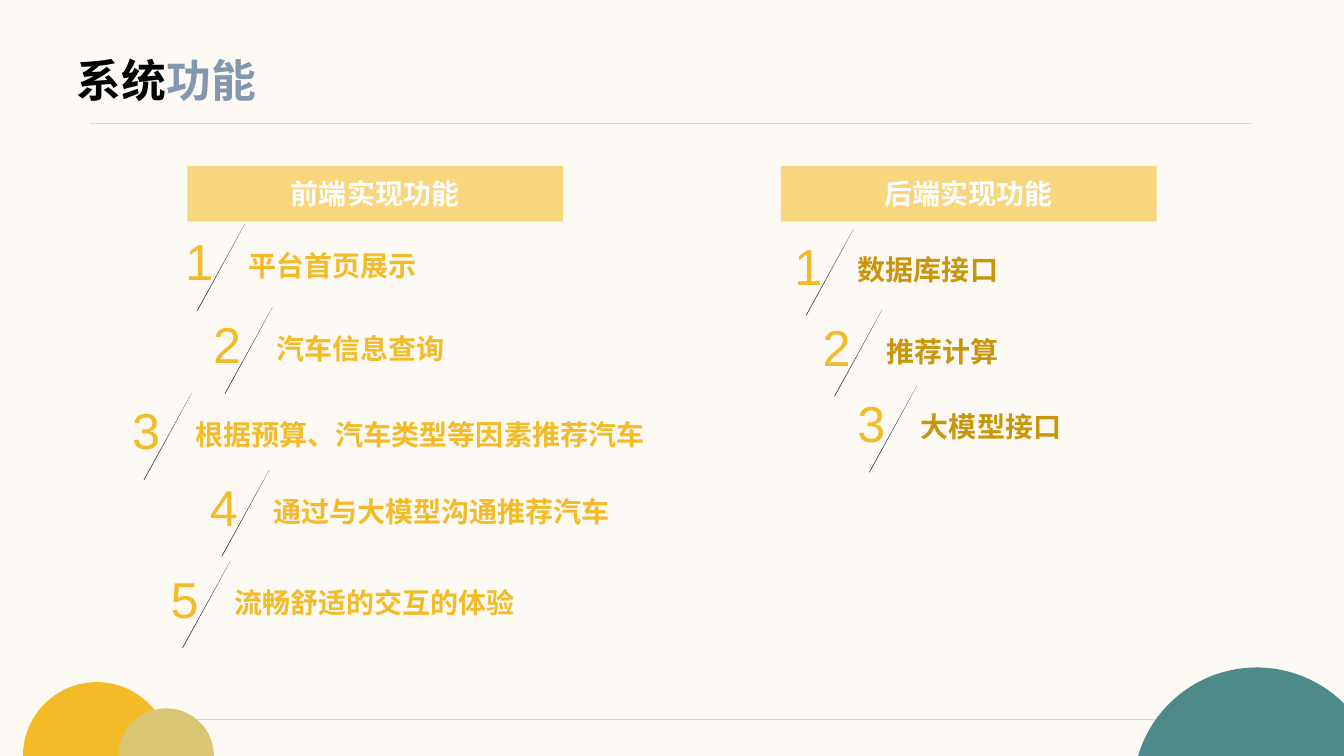
import math
from pptx import Presentation
from pptx.dml.color import RGBColor
from pptx.enum import shapes, text
from pptx.oxml.ns import qn
from pptx.util import Cm, Pt
from lxml import etree

WIDE, HIGH = 33.87, 19.05
CREAM, GOLD, SAND, OCHRE = "FDFAF5", "F3BB28", "F8D67E", "C9950B"
GRAY, SLATE = "D9D9D9", "333F50"
LATIN, HAN = "Arial", "Noto Sans CJK SC"

TITLE = [("系统", "000000"), ("功能", "8497B0")]
RULES = [(2.26, 31.55, 3.12), (4.29, 29.34, 18.13)]
DISCS = [
    (2.44, 19.05, 1.86, GOLD),
    (4.19, 19.05, 1.2, "D9C573"),
    (31.67, 19.94, 3.12, "4F8A8B"),
]
PARTS = [
    ("前端实现功能", 4.72, GOLD, [
        ("平台首页展示", 4.42, 5.68),
        ("汽车信息查询", 5.12, 7.77),
        ("根据预算、汽车类型等因素推荐汽车", 3.08, 9.94),
        ("通过与大模型沟通推荐汽车", 5.04, 11.87),
        ("流畅舒适的交互的体验", 4.05, 14.18),
    ]),
    ("后端实现功能", 19.68, OCHRE, [
        ("数据库接口", 19.77, 5.79),
        ("推荐计算", 20.48, 7.84),
        ("大模型接口", 21.36, 9.75),
    ]),
]


def tint(code):
    return RGBColor.from_string(code)


def add_run(para, words, size, color, bold=True, face=LATIN):
    run = para.add_run()
    run.text = words
    font = run.font
    font.size, font.bold, font.name = Pt(size), bold, face
    font.color.rgb = tint(color)
    latin = font._element.find(qn("a:latin"))
    east = etree.Element(qn("a:ea"), typeface=HAN)
    latin.addnext(east)


def paint(shape, color):
    shape.shadow.inherit = False
    shape.fill.solid()
    shape.fill.fore_color.rgb = tint(color)
    shape.line.fill.background()


def add_rect(pool, x, y, w, h, color):
    rect = pool.add_shape(shapes.MSO_SHAPE.RECTANGLE, Cm(x), Cm(y), Cm(w), Cm(h))
    paint(rect, color)
    return rect


def add_line(pool, x1, y1, x2, y2, color):
    line = pool.add_connector(
        shapes.MSO_CONNECTOR.STRAIGHT, Cm(x1), Cm(y1), Cm(x2), Cm(y2))
    line.line.color.rgb = tint(color)
    line.line.width = Pt(0.5)
    etree.SubElement(line._element.spPr, qn("a:effectLst"))


def bend(edge, left, top, dots):
    curve = etree.Element(qn("a:cubicBezTo"))
    for x, y in dots:
        etree.SubElement(curve, qn("a:pt"), x=str(Cm(x) - left), y=str(Cm(y) - top))
    edge.getparent().replace(edge, curve)


def add_disc(pool, x, y, r, color):
    def spot(turn, push=0):
        return (x + r * (math.cos(turn) - push * math.sin(turn)),
                y - r * (math.sin(turn) + push * math.cos(turn)))

    low = math.asin((y - HIGH) / r)
    end = max(low, math.acos(min(1, (WIDE - x) / r)))
    turns = [math.pi - low, math.pi / 2, end]
    dots = [spot(turn) for turn in turns]
    if end > low:
        dots.append((WIDE, HIGH))
    dots = [(Cm(px), Cm(py)) for px, py in dots]
    form = pool.build_freeform(*dots[0], scale=1.0)
    form.add_line_segments(dots[1:], close=True)
    shape = form.convert_to_shape()
    paint(shape, color)
    edges = list(shape._element.iter(qn("a:lnTo")))
    for edge, a, b in zip(edges, turns, turns[1:]):
        pull = 4 / 3 * math.tan((b - a) / 4)
        bend(edge, shape.left, shape.top, [spot(a, pull), spot(b, -pull), spot(b)])


def add_text(pool, x, y, w, h, words, size, color, bold, space=None):
    box = pool.add_textbox(Cm(x), Cm(y), Cm(w), Cm(h))
    frame = box.text_frame
    frame.word_wrap = True
    frame.auto_size = text.MSO_AUTO_SIZE.SHAPE_TO_FIT_TEXT
    para = frame.paragraphs[0]
    if space:
        para.line_spacing = space
    add_run(para, words, size, color, bold)


def add_item(pool, rank, words, x, y, color):
    group = pool.add_group_shape().shapes
    add_text(group, x, y, 2.34, 1.8, str(rank), 36, GOLD, False)
    add_line(group, x + 0.55, y + 2.15, x + 1.75, y - 0.02, SLATE)
    mask = add_rect(group, x + 0.99, y - 0.03, 0.74, 3, CREAM)
    mask.rotation = 208.4
    wide = max(5.56, 0.73 * len(words) + 0.65)
    add_text(group, x + 1.6, y + 0.2, wide, 1.27, words, 20, color, True, 1.3)


def add_head(pool, words, x):
    head = add_rect(pool, x, 4.18, 9.47, 1.4, SAND)
    head.text_frame.vertical_anchor = text.MSO_ANCHOR.MIDDLE
    para = head.text_frame.paragraphs[0]
    para.alignment = text.PP_ALIGN.CENTER
    add_run(para, words, 20, "FFFFFF", True, HAN)


def add_title(title):
    title.left, title.top, title.width, title.height = Cm(1.93), Cm(0.99), Cm(30), Cm(2.01)
    frame = title.text_frame
    frame.margin_left = frame.margin_right = frame.margin_top = frame.margin_bottom = 0
    frame.vertical_anchor = text.MSO_ANCHOR.MIDDLE
    para = frame.paragraphs[0]
    para.alignment = text.PP_ALIGN.LEFT
    for words, color in TITLE:
        add_run(para, words, 32, color)


def main():
    deck = Presentation()
    deck.slide_width, deck.slide_height = Cm(WIDE), Cm(HIGH)
    slide = deck.slides.add_slide(deck.slide_layouts[5])
    slide.background.fill.solid()
    slide.background.fill.fore_color.rgb = tint(CREAM)
    pool = slide.shapes
    add_title(pool.title)
    for left, right, y in RULES:
        add_line(pool, left, y, right, y, GRAY)
    for disc in DISCS:
        add_disc(pool, *disc)
    for head, x, color, items in PARTS:
        for rank, item in enumerate(items, 1):
            add_item(pool, rank, *item, color)
        add_head(pool, head, x)
    deck.save("out.pptx")


if __name__ == "__main__":
    main()
